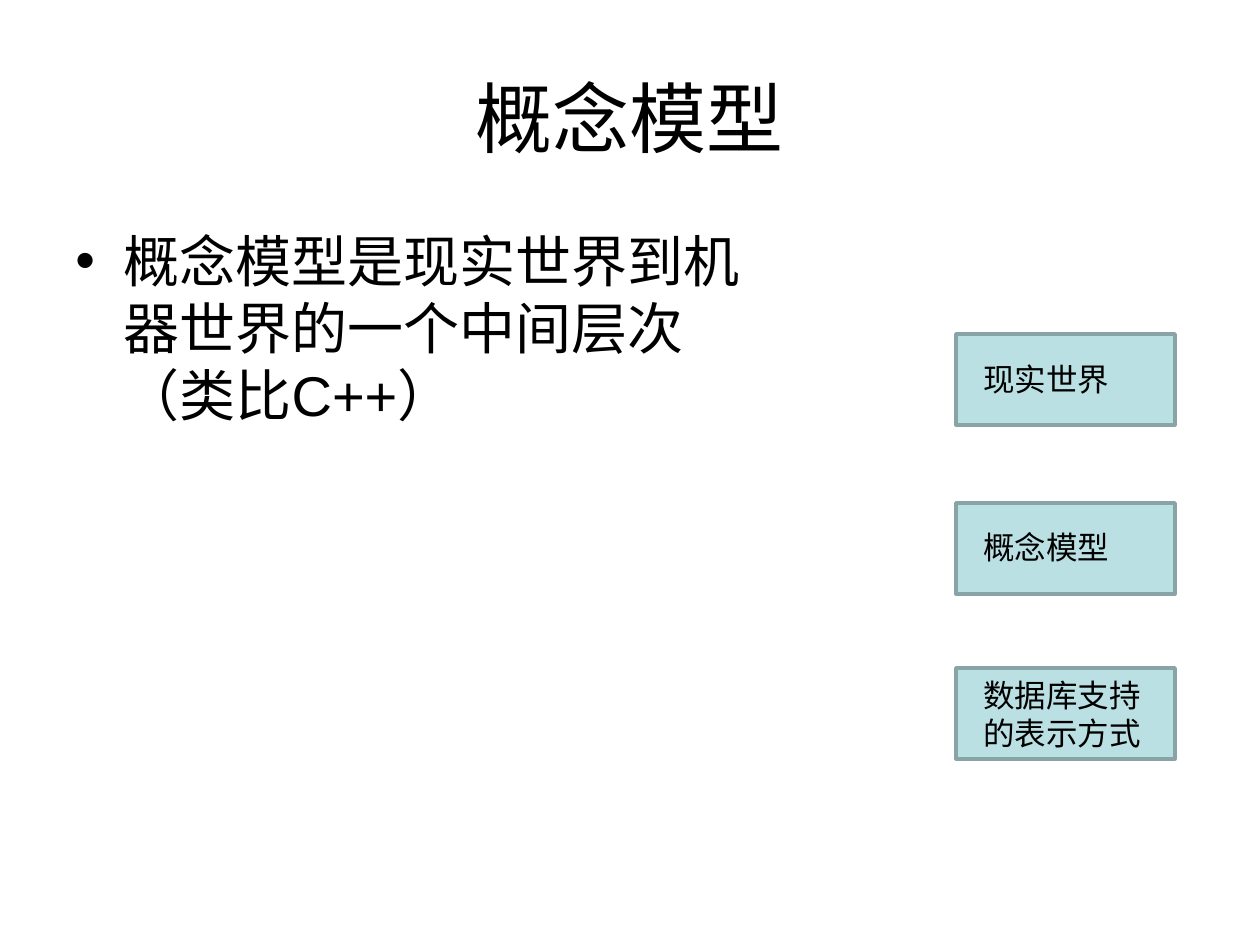
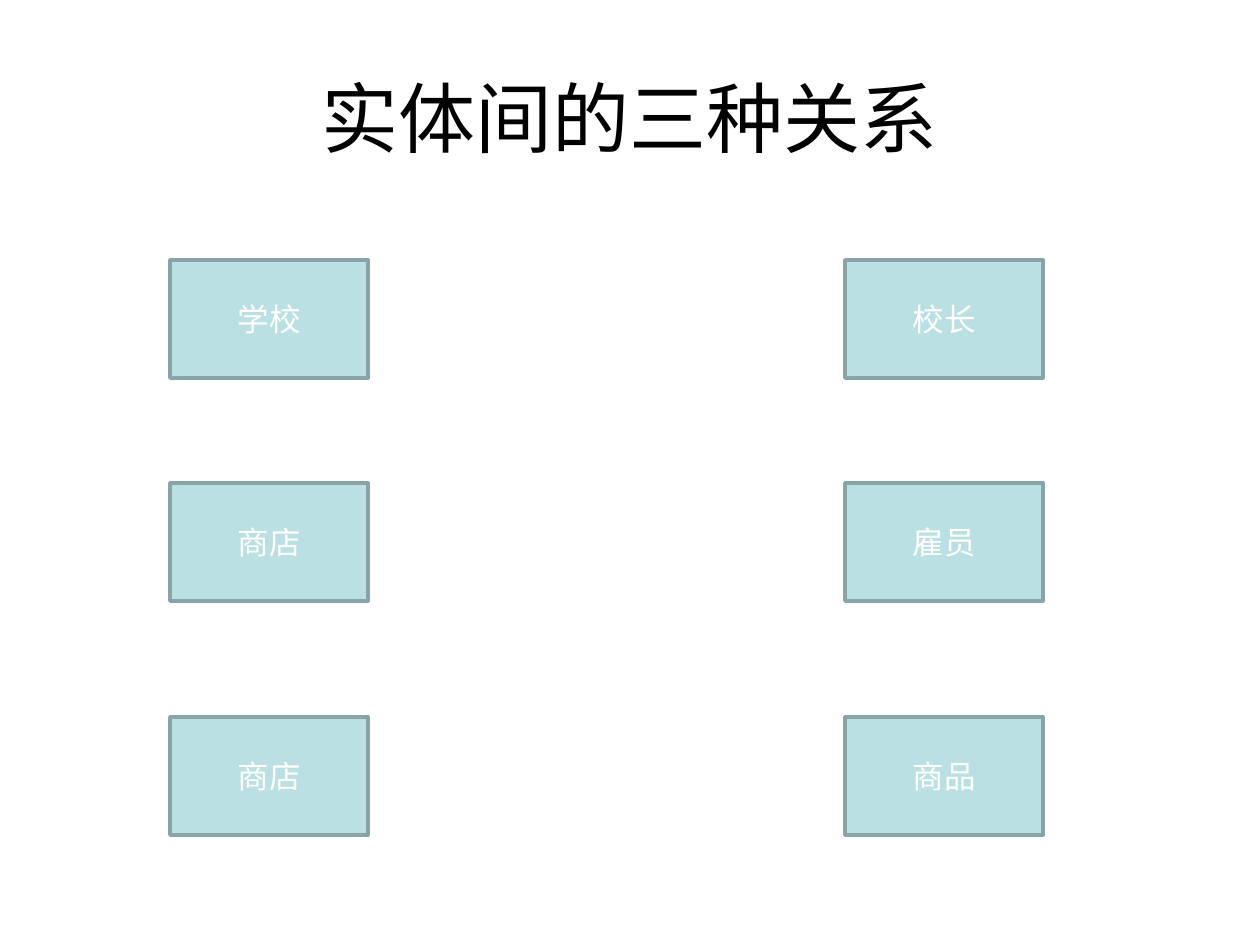
from lxml import etree
from pptx import Presentation
from pptx.dml.color import RGBColor
from pptx.enum.shapes import MSO_SHAPE
from pptx.enum.text import MSO_ANCHOR, PP_ALIGN
from pptx.oxml.ns import qn
from pptx.util import Pt

RECT = MSO_SHAPE.RECTANGLE
TOP, MID = MSO_ANCHOR.TOP, MSO_ANCHOR.MIDDLE
LEFT, MIDST = PP_ALIGN.LEFT, PP_ALIGN.CENTER

PX = 914400 / 126
BLACK, WHITE, AQUA, EDGE = "000000", "FFFFFF", "BBE0E3", "89A4A7"
TITLE = dict(size=Pt(44), name="Arial", bold=False)
BODY = dict(size=Pt(32), name="Arial")
LABEL = dict(size=Pt(18), name="Arial")


def px(*nums):
    return [round(n * PX) for n in nums]


def write(shape, text, style, hue, align=LEFT, anchor=TOP):
    frame = shape.text_frame
    frame.word_wrap = True
    frame.vertical_anchor = anchor
    para = frame.paragraphs[0]
    para.alignment = align
    run = para.add_run()
    run.text = text
    for key, val in style.items():
        setattr(run.font, key, val)
    run.font.color.rgb = RGBColor.from_string(hue)
    return para


deck = Presentation()
deck.slide_width, deck.slide_height = px(1260, 945)

# Per slide: title, size of its boxes, and left, top, label of each box
levels = ["现实世界", "概念模型", "数据库支持的表示方式"]
pairs = [("学校", "校长"), ("商店", "雇员"), ("商店", "商品")]
stack = [(956, top, "") for top in (334, 503, 668)]
grid = [(left, top, word)
        for top, pair in zip((260, 483, 717), pairs)
        for left, word in zip((170, 845), pair)]
pages = [("概念模型", (219, 91), stack), ("实体间的三种关系", (198, 118), grid)]

for name, size, boxes in pages:
    slide = deck.slides.add_slide(deck.slide_layouts[5])

    # Title
    title = slide.shapes.title
    title.left, title.top, title.width, title.height = px(63, 38, 1134, 157)
    write(title, name, TITLE, BLACK, MIDST, MID)

    # Boxes
    for left, top, word in boxes:
        box = slide.shapes.add_shape(RECT, *px(left, top, *size))
        box.shadow.inherit = False
        box.fill.solid()
        box.fill.fore_color.rgb = RGBColor.from_string(AQUA)
        box.line.color.rgb = RGBColor.from_string(EDGE)
        box.line.width = Pt(2)
        if word:
            write(box, word, LABEL, WHITE, MIDST, MID)

# Bullet text on the first slide
first = deck.slides[0]
body = first.shapes.add_textbox(*px(63, 220, 742, 544))
para = write(body, "概念模型是现实世界到机器世界的一个中间层次（类比C++）", BODY, BLACK)
props = para._p.get_or_add_pPr()
dent = px(48)[0]
props.set("marL", str(dent))
props.set("indent", str(-dent))
etree.SubElement(props, qn("a:buFont")).set("typeface", "Arial")
etree.SubElement(props, qn("a:buChar")).set("char", "•")

# Level names over the stacked boxes
for word, top, high in zip(levels, (354, 522, 670), (50, 50, 88)):
    label = first.shapes.add_textbox(*px(971, top, 188, high))
    write(label, word, LABEL, BLACK)

deck.save("out.pptx")
